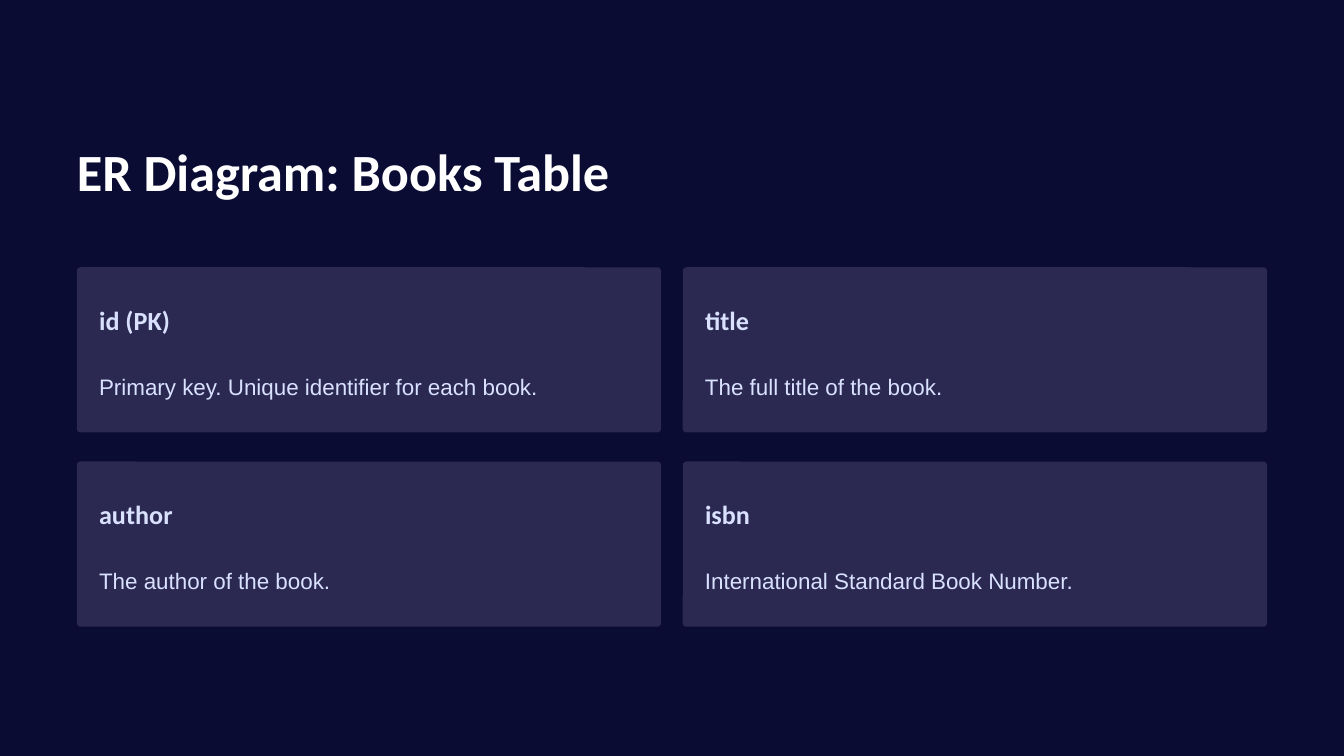
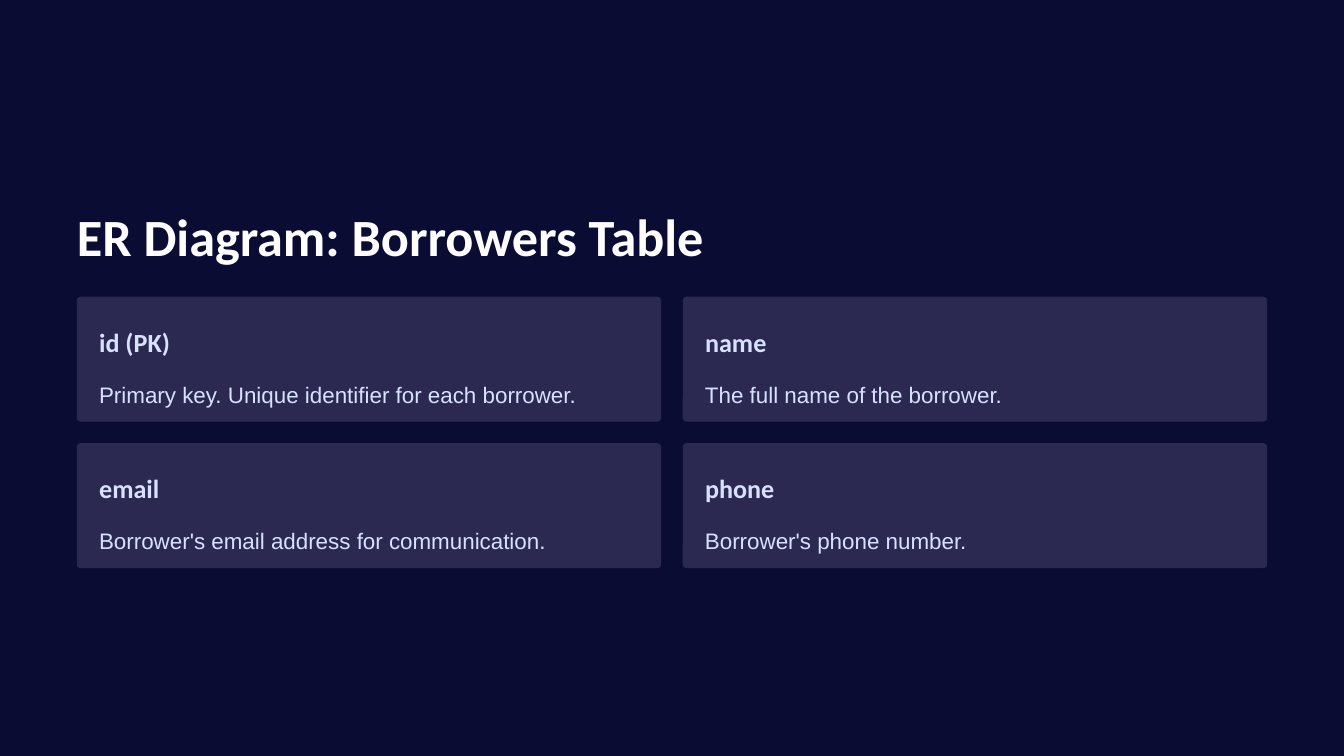
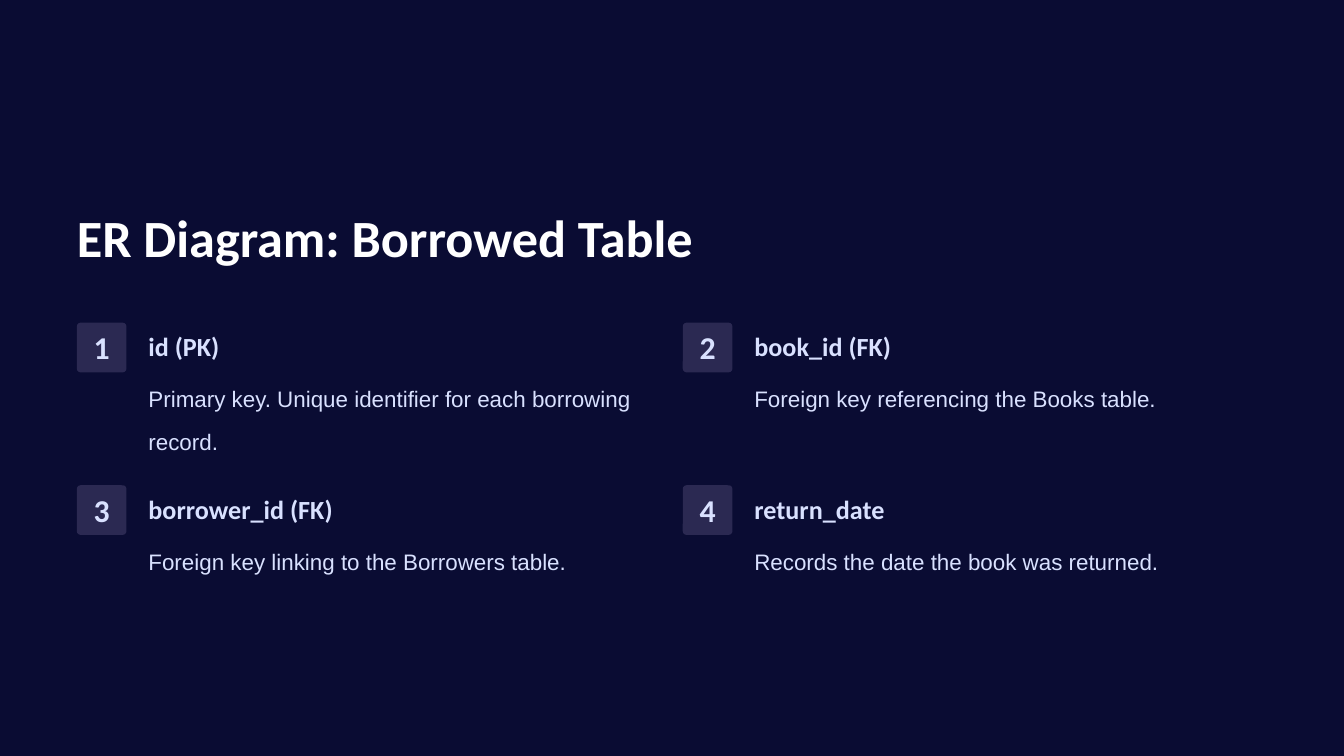
from pptx import Presentation
from pptx.dml.color import RGBColor
from pptx.enum.shapes import MSO_SHAPE
from pptx.enum.text import PP_ALIGN
from pptx.util import Pt

# Each field: name, description, lines the description takes
TABLES = [
    {
        "title": "ER Diagram: Books Table",
        "fields": [
            ("id (PK)", "Primary key. Unique identifier for each book.", 1),
            ("title", "The full title of the book.", 1),
            ("author", "The author of the book.", 1),
            ("isbn", "International Standard Book Number.", 1),
        ],
        "title_box": (66.2, 514, 46),
        "grid_top": 143.2, "row_pitch": 104.1, "card_height": 88.5,
        "name_drop": 15.5, "name_height": 23,
        "detail_drop": 47.8, "detail_height": 25.2,
    },
    {
        "title": "ER Diagram: Borrowers Table",
        "fields": [
            ("id (PK)", "Primary key. Unique identifier for each borrower.", 1),
            ("name", "The full name of the borrower.", 1),
            ("email", "Borrower's email address for communication.", 1),
            ("phone", "Borrower's phone number.", 1),
        ],
        "title_box": (100.8, 531.4, 34.6),
        "grid_top": 159, "row_pitch": 78.5, "card_height": 66.9,
        "name_drop": 11.6, "name_height": 17.3,
        "detail_drop": 36.1, "detail_height": 18.7,
    },
    {
        "title": "ER Diagram: Borrowed Table",
        "fields": [
            ("id (PK)", "Primary key. Unique identifier for each borrowing record.", 2),
            ("book_id (FK)", "Foreign key referencing the Books table.", 1),
            ("borrower_id (FK)", "Foreign key linking to the Borrowers table.", 1),
            ("return_date", "Records the date the book was returned.", 1),
        ],
        "title_box": (101.5, 501.8, 34.6),
        "grid_top": 172.9, "row_pitch": 87.1, "card_height": None,
        "name_drop": 0, "name_height": 17.3,
        "detail_drop": 24.5, "detail_height": 18.7,
    },
]

COLORS = {"background": "0A0C33", "panel": "2B2952", "title": "FFFFFF", "text": "D9E1FF"}

STYLES = {
    "title": ("title", 1.25, {"name": "Calibri", "size": Pt(28), "bold": True}),
    "name": ("text", 1.25, {"name": "Calibri", "size": Pt(14), "bold": True}),
    "detail": ("text", 1.62, {"name": "Arial", "size": Pt(12), "bold": False}),
    "number": ("text", 1.0, {"name": "Calibri", "size": Pt(17), "bold": True}),
}

SLIDE_WIDTH, SLIDE_HEIGHT = 720, 405
MARGIN = 41.2
COLUMNS = 2
COLUMN_PITCH = 324.6
CARD_WIDTH = 313
CARD_PADDING = 11.9
NAME_WIDTH = 138.2
BADGE = 26.6
BADGE_GAP = 11.7
NUMBER_WIDTH, NUMBER_HEIGHT = 16.6, 20.9
CORNER = 2.0


def color(key):
    return RGBColor.from_string(COLORS[key])


def add_text(slide, text, style, left, top, width, height, align=PP_ALIGN.LEFT):
    color_key, spacing, font_format = STYLES[style]
    frame = slide.shapes.add_textbox(Pt(left), Pt(top), Pt(width), Pt(height)).text_frame
    frame.word_wrap = True
    for side in ("left", "top", "right", "bottom"):
        setattr(frame, f"margin_{side}", 0)
    paragraph = frame.paragraphs[0]
    paragraph.alignment = align
    paragraph.line_spacing = spacing
    run = paragraph.add_run()
    run.text = text
    for attribute, value in font_format.items():
        setattr(run.font, attribute, value)
    run.font.color.rgb = color(color_key)


def add_panel(slide, left, top, width, height):
    panel = slide.shapes.add_shape(
        MSO_SHAPE.ROUNDED_RECTANGLE, Pt(left), Pt(top), Pt(width), Pt(height))
    panel.adjustments[0] = CORNER / min(width, height)
    panel.shadow.inherit = False
    panel.fill.solid()
    panel.fill.fore_color.rgb = color("panel")
    panel.line.fill.background()


def add_badge(slide, number, left, top):
    add_panel(slide, left, top, BADGE, BADGE)
    add_text(slide, str(number), "number",
             left + (BADGE - NUMBER_WIDTH) / 2, top + (BADGE - NUMBER_HEIGHT) / 2,
             NUMBER_WIDTH, NUMBER_HEIGHT, PP_ALIGN.CENTER)


def add_field(slide, table, index):
    """Put one field in its grid cell: on a card, or beside a numbered badge."""
    name, detail, lines = table["fields"][index]
    row, column = divmod(index, COLUMNS)
    left = MARGIN + column * COLUMN_PITCH
    top = table["grid_top"] + row * table["row_pitch"]
    if table["card_height"]:
        add_panel(slide, left, top, CARD_WIDTH, table["card_height"])
        indent, right_padding = CARD_PADDING, CARD_PADDING
    else:
        add_badge(slide, index + 1, left, top)
        indent, right_padding = BADGE + BADGE_GAP, 0
    add_text(slide, name, "name", left + indent, top + table["name_drop"],
             NAME_WIDTH, table["name_height"])
    add_text(slide, detail, "detail", left + indent, top + table["detail_drop"],
             CARD_WIDTH - indent - right_padding, lines * table["detail_height"])


def main():
    deck = Presentation()
    deck.slide_width, deck.slide_height = Pt(SLIDE_WIDTH), Pt(SLIDE_HEIGHT)
    for table in TABLES:
        slide = deck.slides.add_slide(deck.slide_layouts[6])
        slide.background.fill.solid()
        slide.background.fill.fore_color.rgb = color("background")
        add_text(slide, table["title"], "title", MARGIN, *table["title_box"])
        for index in range(len(table["fields"])):
            add_field(slide, table, index)
    deck.save("out.pptx")


if __name__ == "__main__":
    main()
